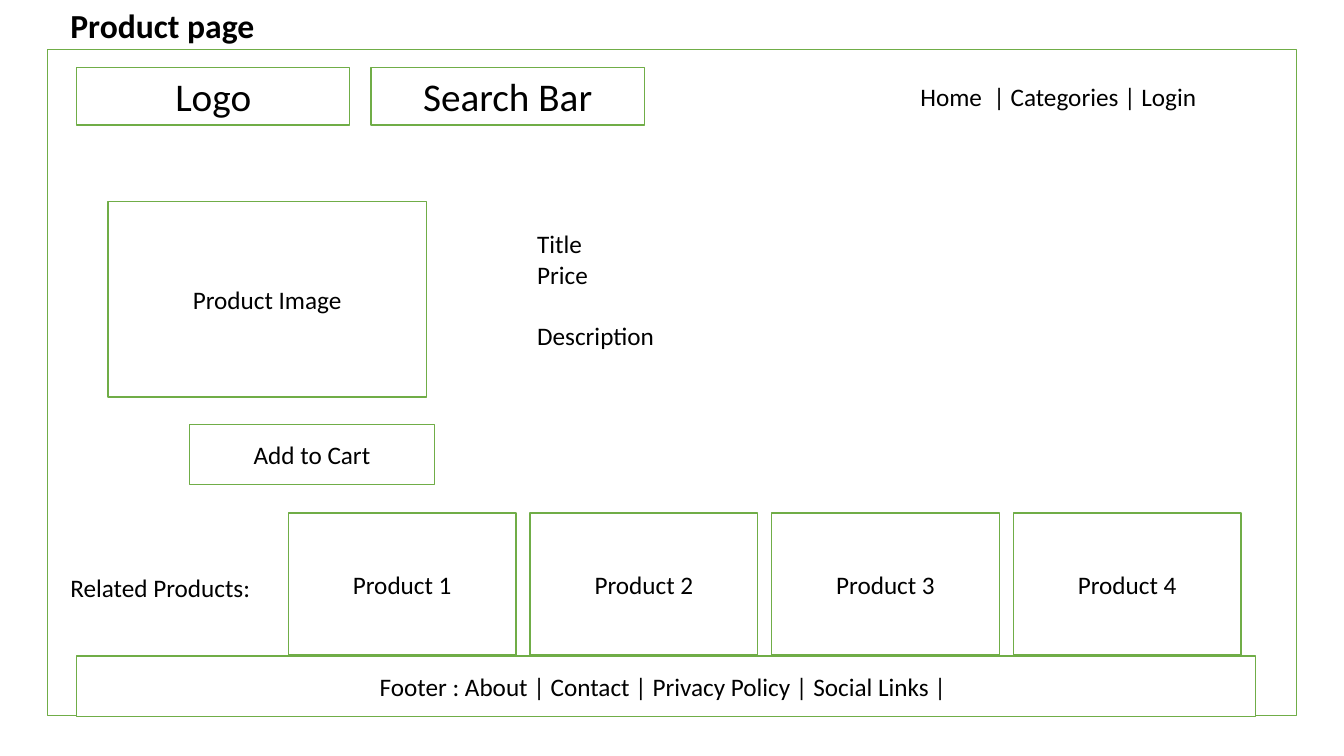
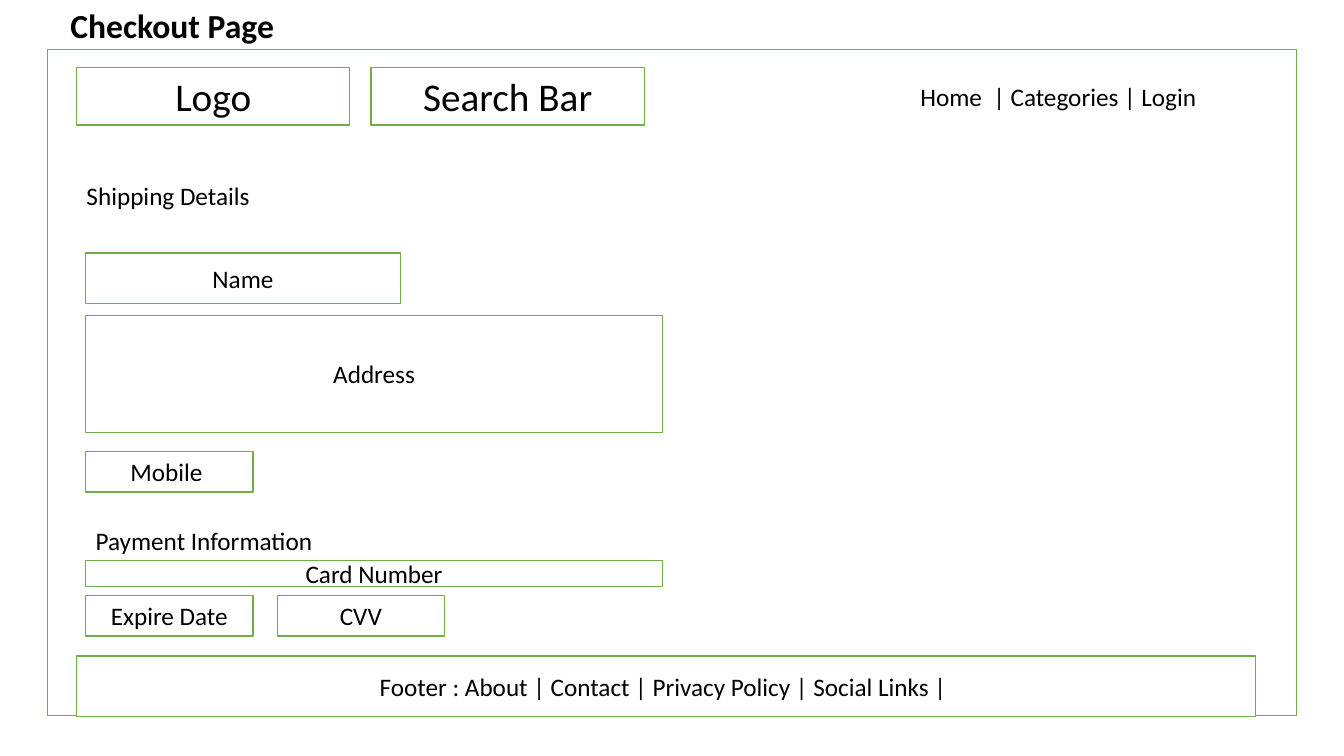
from collections import namedtuple

from pptx import Presentation
from pptx.dml.color import RGBColor
from pptx.enum.shapes import MSO_SHAPE
from pptx.enum.text import MSO_ANCHOR, PP_ALIGN
from pptx.util import Inches, Pt

RECTANGLE = MSO_SHAPE.RECTANGLE
MIDDLE, TOP = MSO_ANCHOR.MIDDLE, MSO_ANCHOR.TOP
CENTER, LEFT = PP_ALIGN.CENTER, PP_ALIGN.LEFT

FONT = "Calibri"
INK, PAPER, GREEN = "000000", "FFFFFF", "70AD47"
BODY_SIZE, HEADER_SIZE, TITLE_SIZE = 18, 28, 24
LABEL_HEIGHT = 0.4
BLANK_LAYOUT = 6

Box = namedtuple("Box", "left top width height")
FRAME = Box(0.47, 0.49, 12.39, 6.61)


def color(hex_value):
    """Turn a hex string into a colour."""
    return RGBColor.from_string(hex_value)


def inside(box, left, top, width, height):
    """Return a box whose offset is measured from the corner of another."""
    return Box(box.left + left, box.top + top, width, height)


def lengths(box):
    """Give the four measures of a box as lengths."""
    return [Inches(value) for value in box]


def write_text(shape, text, size=BODY_SIZE, bold=False, align=LEFT, anchor=TOP, gaps=None):
    """Fill a shape with one paragraph per line; gaps maps line index to points before."""
    frame = shape.text_frame
    frame.word_wrap = True
    frame.vertical_anchor = anchor
    for index, line in enumerate(text.split("\n")):
        paragraph = frame.add_paragraph() if index else frame.paragraphs[0]
        paragraph.alignment = align
        paragraph.space_before = Pt((gaps or {}).get(index, 0))
        run = paragraph.add_run()
        run.text = line
        run.font.name = FONT
        run.font.size = Pt(size)
        run.font.bold = bold
        run.font.color.rgb = color(INK)


def add_label(slide, box, text, **text_format):
    """Add a plain text box."""
    write_text(slide.shapes.add_textbox(*lengths(box)), text, **text_format)


def add_block(slide, box, text="", size=BODY_SIZE):
    """Add an outlined wireframe block with centred text."""
    shape = slide.shapes.add_shape(RECTANGLE, *lengths(box))
    shape.shadow.inherit = False
    shape.fill.solid()
    shape.fill.fore_color.rgb = color(PAPER)
    shape.line.color.rgb = color(GREEN)
    shape.line.width = Pt(1)
    if text:
        write_text(shape, text, size=size, align=CENTER, anchor=MIDDLE)


def add_header(slide, box):
    """Place the logo block, the search bar and the navigation in a band."""
    width, gap = 2.71, 0.21
    for index, text in enumerate(("Logo", "Search Bar")):
        place = inside(box, index * (width + gap), 0, width, box.height)
        add_block(slide, place, text, size=HEADER_SIZE)
    add_label(slide, inside(box, 8.27, 0.09, 4.2, LABEL_HEIGHT), "Home  | Categories | Login")


def add_page(presentation, title, box):
    """Add a slide with the title, frame, header and footer that all pages share."""
    slide = presentation.slides.add_slide(presentation.slide_layouts[BLANK_LAYOUT])
    add_block(slide, box)
    add_header(slide, inside(box, 0.29, 0.18, 11.69, 0.57))
    add_block(slide, inside(box, 0.29, 6.02, 11.69, 0.6),
              "Footer : About | Contact | Privacy Policy | Social Links | ")
    add_label(slide, inside(box, 0.13, -0.49, 3.63, 0.5), title, size=TITLE_SIZE, bold=True)
    return slide


def add_product_details(slide, box):
    """Place the product image, its description and the cart button."""
    add_block(slide, inside(box, 0, 0, 3.16, 1.94), "Product Image")
    add_label(slide, inside(box, 4.16, 0.22, 3.16, 1.31),
              "Title\nPrice\nDescription", gaps={2: 22})
    add_block(slide, inside(box, 0.81, 2.21, 2.43, 0.6), "Add to Cart")


def add_related_products(slide, box, count=4):
    """Place a caption and an evenly spaced row of products."""
    first, width = 2.26, 2.26
    step = (box.width - first - width) / (count - 1)
    add_label(slide, inside(box, 0, 0.54, 2.63, LABEL_HEIGHT), "Related Products:")
    for index in range(count):
        place = inside(box, first + index * step, 0, width, box.height)
        add_block(slide, place, f"Product {index + 1}")


def add_shipping_form(slide, box):
    """Place the shipping heading and its fields."""
    add_label(slide, inside(box, -0.09, 0, 2.4, LABEL_HEIGHT), "Shipping Details")
    fields = (("Name", 0.77, 3.12, 0.5),
              ("Address", 1.39, box.width, 1.16),
              ("Mobile ", 2.74, 1.66, 0.4))
    for text, top, width, height in fields:
        add_block(slide, inside(box, 0, top, width, height), text)


def add_payment_form(slide, box):
    """Place the payment heading, the card number and the two short fields."""
    width, gap = 1.66, 0.24
    add_label(slide, inside(box, 0, 0, 3.82, LABEL_HEIGHT), "Payment Information")
    add_block(slide, inside(box, 0, 0.4, box.width, 0.26), "Card Number")
    for index, text in enumerate(("Expire Date", "CVV")):
        add_block(slide, inside(box, index * (width + gap), 0.75, width, 0.4), text)


def main():
    """Build the two wireframe pages and save them."""
    presentation = Presentation()
    presentation.slide_width = Inches(13.33)
    presentation.slide_height = Inches(7.5)

    product_page = add_page(presentation, "Product page", FRAME)
    add_product_details(product_page, inside(FRAME, 0.6, 1.51, 7.32, 2.81))
    add_related_products(product_page, inside(FRAME, 0.13, 4.6, 11.71, 1.41))

    checkout_page = add_page(presentation, "Checkout Page", FRAME)
    add_shipping_form(checkout_page, inside(FRAME, 0.38, 1.25, 5.72, 3.14))
    add_payment_form(checkout_page, inside(FRAME, 0.38, 4.67, 5.72, 1.15))

    presentation.save("out.pptx")


if __name__ == "__main__":
    main()
